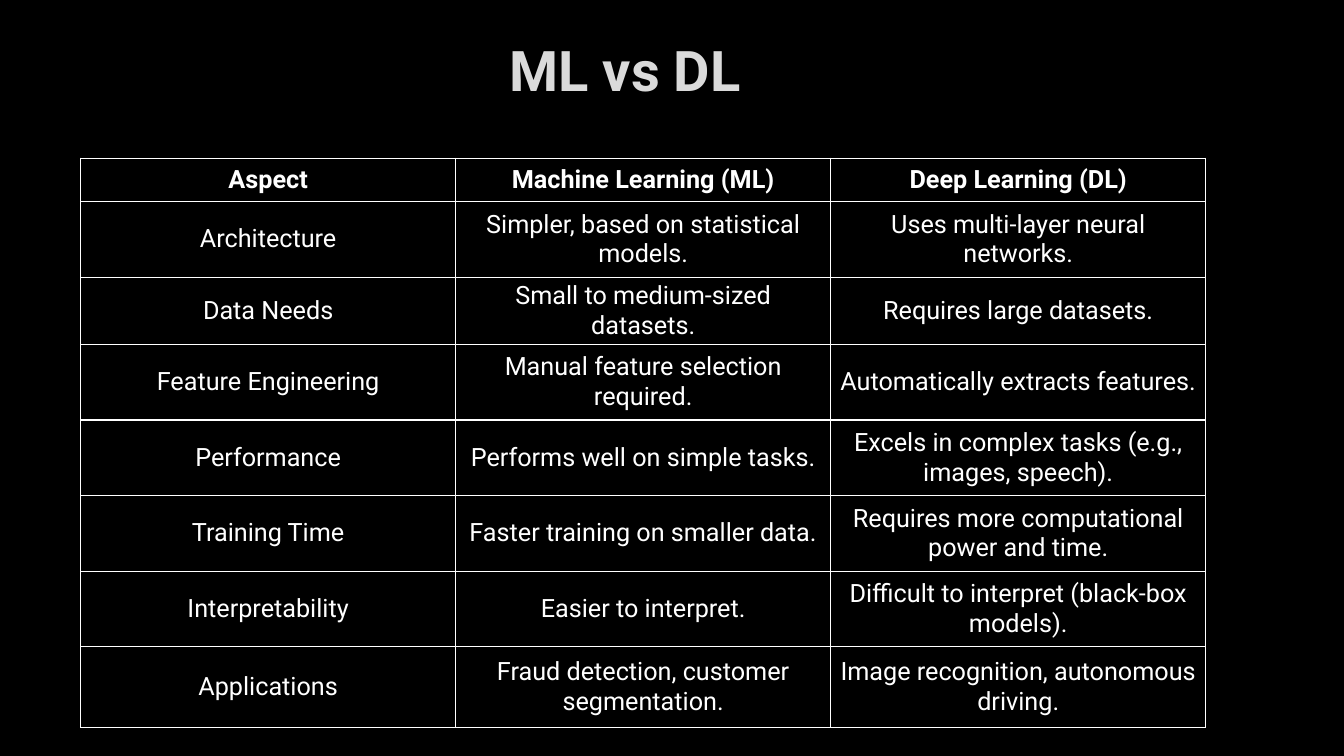
import pptx
import pptx.dml.color
import pptx.enum.text
import pptx.oxml
import pptx.oxml.ns
import pptx.util

Inches = pptx.util.Inches
Pt = pptx.util.Pt
RGBColor = pptx.dml.color.RGBColor
CENTER = pptx.enum.text.PP_ALIGN.CENTER
MIDDLE = pptx.enum.text.MSO_ANCHOR.MIDDLE

BLACK = RGBColor(0x00, 0x00, 0x00)
WHITE = RGBColor(0xFF, 0xFF, 0xFF)
LIGHT_GREY = RGBColor(0xDA, 0xDA, 0xDA)

HEADING = "ML vs DL"
COMPARISON = [
    ("Aspect", "Machine Learning (ML)", "Deep Learning (DL)"),
    ("Architecture", "Simpler, based on statistical models.",
     "Uses multi-layer neural networks."),
    ("Data Needs", "Small to medium-sized datasets.", "Requires large datasets."),
    ("Feature Engineering", "Manual feature selection required.",
     "Automatically extracts features."),
    ("Performance", "Performs well on simple tasks.",
     "Excels in complex tasks (e.g., images, speech)."),
    ("Training Time", "Faster training on smaller data.",
     "Requires more computational power and time."),
    ("Interpretability", "Easier to interpret.",
     "Difficult to interpret (black-box models)."),
    ("Applications", "Fraud detection, customer segmentation.",
     "Image recognition, autonomous driving."),
]
ROW_HEIGHTS = [0.43, 0.75, 0.43, 0.75, 0.75, 0.75, 0.75, 0.8]
COLUMN_WIDTH = 3.72
CELL_FORMAT = {
    "vertical_anchor": MIDDLE,
    "margin_left": Inches(0.09),
    "margin_right": Inches(0.09),
    "margin_top": Inches(0.04),
    "margin_bottom": Inches(0.04),
}


def write(frame, text, size, color, bold):
    paragraph = frame.paragraphs[0]
    paragraph.alignment = CENTER
    run = paragraph.add_run()
    run.text = text
    for name, value in {"name": "Roboto", "size": Pt(size), "bold": bold}.items():
        setattr(run.font, name, value)
    run.font.color.rgb = color


def add_borders(cell, color, width):
    properties = cell._tc.get_or_add_tcPr()
    for position, side in enumerate(("lnL", "lnR", "lnT", "lnB")):
        properties.insert(position, pptx.oxml.parse_xml(
            f'<a:{side} {pptx.oxml.ns.nsdecls("a")} w="{Pt(width)}">'
            f'<a:solidFill><a:srgbClr val="{color}"/></a:solidFill></a:{side}>'))


def main():
    deck = pptx.Presentation()
    deck.slide_width, deck.slide_height = Inches(13.33), Inches(7.5)
    slide = deck.slides.add_slide(deck.slide_layouts[5])
    slide.background.fill.solid()
    slide.background.fill.fore_color.rgb = BLACK

    heading = slide.shapes.title
    heading.left, heading.top = Inches(0.54), Inches(0.16)
    heading.width, heading.height = Inches(11.32), Inches(1.06)
    heading.text_frame.vertical_anchor = MIDDLE
    write(heading.text_frame, HEADING, 40, LIGHT_GREY, True)

    columns = len(COMPARISON[0])
    comparison = slide.shapes.add_table(
        len(COMPARISON), columns, Inches(0.8), Inches(1.57),
        Inches(COLUMN_WIDTH * columns), Inches(sum(ROW_HEIGHTS))).table
    comparison.horz_banding = False
    for column in comparison.columns:
        column.width = Inches(COLUMN_WIDTH)
    for r, (entries, height) in enumerate(zip(COMPARISON, ROW_HEIGHTS)):
        comparison.rows[r].height = Inches(height)
        for c, entry in enumerate(entries):
            cell = comparison.cell(r, c)
            for name, value in CELL_FORMAT.items():
                setattr(cell, name, value)
            cell.fill.background()
            add_borders(cell, WHITE, 1)
            write(cell.text_frame, entry, 18, WHITE, r == 0)

    deck.save("out.pptx")


if __name__ == "__main__":
    main()
